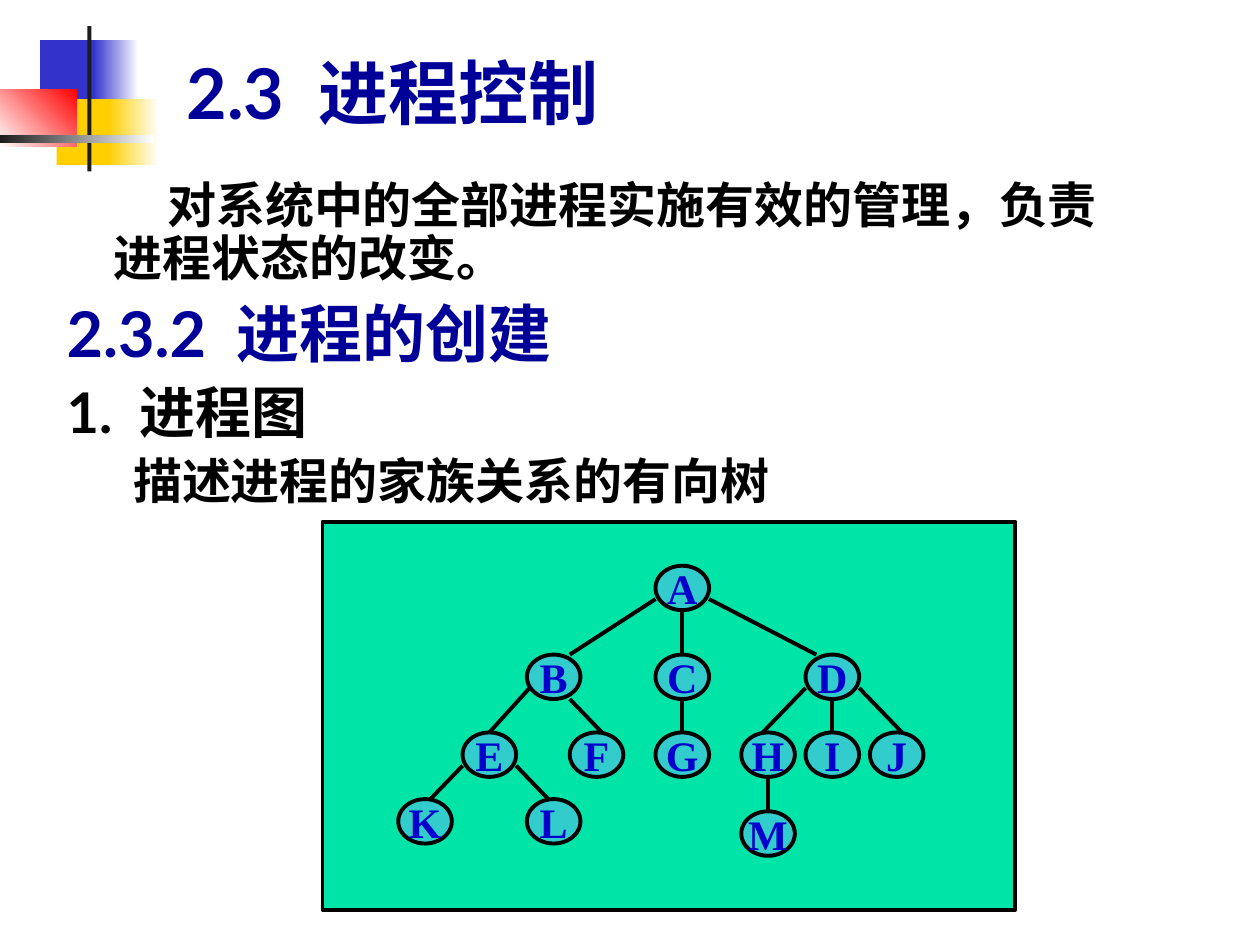
from dataclasses import dataclass

from pptx import Presentation
from pptx.dml.color import RGBColor
from pptx.enum import shapes, text
from pptx.oxml import xmlchemy as xml
from pptx.util import Pt


@dataclass(frozen=True)
class Theme:
    black: str = "000000"
    white: str = "FFFFFF"
    heading: str = "000099"
    blue: str = "3333CC"
    yellow: str = "FFCF01"
    red: str = "FF0000"
    dark: str = "1C1C1C"
    panel: str = "00E4A8"
    node: str = "33CCCC"
    letter: str = "0000CC"
    font: str = "Lato"
    node_font: str = "Times New Roman"
    title_size: float = 40
    section_size: float = 36
    topic_size: float = 32
    body_size: float = 28
    node_size: float = 24
    stroke: float = 2.25


THEME = Theme()


def color(value):
    return RGBColor.from_string(value)


def write(para, words, size=THEME.body_size, ink=THEME.black, font=THEME.font,
          align=text.PP_ALIGN.LEFT, margin=0, indent=0, before=0, spacing=None):
    """Put one bold span in a paragraph and format both."""
    props = para._p.get_or_add_pPr()
    props.set("marL", str(Pt(margin)))
    props.set("indent", str(Pt(indent)))
    para.alignment = align
    para.space_before = Pt(before)
    if spacing:
        para.line_spacing = spacing
    span = para.add_run()
    span.text = words
    span.font.size = Pt(size)
    span.font.name = font
    span.font.bold = True
    span.font.color.rgb = color(ink)


def add_block(page, kind, box, fill, fade_to=None, angle=0, outline=None):
    """Add a preset shape with a plain or fading fill."""
    shape = page.shapes.add_shape(kind, *map(Pt, box))
    shape.shadow.inherit = False
    if fade_to:
        shape.fill.gradient()
        shape.fill.gradient_angle = angle
        for stop, value in zip(shape.fill.gradient_stops, (fill, fade_to)):
            stop.color.rgb = color(value)
        for stop, place in zip(shape.fill.gradient_stops, (0, 1)):
            stop.position = place
    else:
        shape.fill.solid()
        shape.fill.fore_color.rgb = color(fill)
    if outline:
        shape.line.color.rgb = color(outline)
        shape.line.width = Pt(THEME.stroke)
    else:
        shape.line.fill.background()
    return shape


def add_line(page, start, end):
    line = page.shapes.add_connector(
        shapes.MSO_CONNECTOR.STRAIGHT, *map(Pt, (*start, *end)))
    line.line.color.rgb = color(THEME.black)
    line.line.width = Pt(THEME.stroke)
    effects = xml.OxmlElement("a:effectLst")
    line._element.spPr.append(effects)


def add_ornament(page, box):
    """Overlapping colour blocks crossed by two bars."""
    left, top, _, _ = box
    blocks = [
        ((23, 8, 34.5, 37.5), THEME.blue, None, 0),
        ((53.3, 8, 26, 37.5), THEME.blue, THEME.white, 0),
        ((32.4, 41.7, 33, 37.5), THEME.yellow, None, 0),
        ((62, 41.7, 28.8, 37.5), THEME.yellow, THEME.white, 0),
        ((0, 36, 44, 33), THEME.white, THEME.red, 45),
        ((49.9, 0, 2.4, 83), THEME.dark, None, 0),
        ((0, 62.2, 88, 4.3), THEME.dark, THEME.white, 0),
    ]
    for (x, y, width, height), fill, fade_to, angle in blocks:
        add_block(page, shapes.MSO_SHAPE.RECTANGLE,
                  (left + x, top + y, width, height), fill, fade_to, angle)


def add_title(page, box):
    title = page.shapes.title
    title.left, title.top, title.width, title.height = map(Pt, box)
    frame = title.text_frame
    frame.auto_size = text.MSO_AUTO_SIZE.NONE
    frame.vertical_anchor = text.MSO_ANCHOR.BOTTOM
    write(frame.paragraphs[0], "2.3  进程控制",
          size=THEME.title_size, ink=THEME.heading)


def add_body(page, box):
    frame = page.shapes.add_textbox(*map(Pt, box)).text_frame
    frame.word_wrap = True
    hang = {"margin": 27, "indent": -27}
    lines = [
        ("对系统中的全部进程实施有效的管理，负责进程状态的改变。",
         {"margin": 27, "indent": 30.5}),
        ("2.3.2  进程的创建", {"size": THEME.section_size,
                             "ink": THEME.heading, "before": 9, **hang}),
        ("1.  进程图", {"size": THEME.topic_size, "before": 8, **hang}),
        ("描述进程的家族关系的有向树", {"margin": 38, "before": 7}),
    ]
    for index, (words, style) in enumerate(lines):
        para = frame.add_paragraph() if index else frame.paragraphs[0]
        write(para, words, spacing=0.9, **style)


def add_process_tree(page, box):
    """Green panel with the family tree of processes."""
    left, top, _, _ = box
    node_width, node_height = 30.6, 25.4
    column, row = 12.25, 6.35
    add_block(page, shapes.MSO_SHAPE.RECTANGLE, box, THEME.panel,
              outline=THEME.black)

    # Nodes: column and row steps on a fine grid
    grid = {
        "A": (12, 0), "B": (6, 8), "C": (12, 8), "D": (19, 8),
        "E": (3, 15), "F": (8, 15), "G": (12, 15), "H": (16, 15),
        "I": (19, 15), "J": (22, 15), "K": (0, 21), "L": (6, 21),
        "M": (16, 22.1),
    }
    corners = {name: (left + 43.3 + x * column, top + 25.2 + y * row)
               for name, (x, y) in grid.items()}
    for name, corner in corners.items():
        node = add_block(page, shapes.MSO_SHAPE.OVAL,
                         (*corner, node_width, node_height),
                         THEME.node, outline=THEME.black)
        frame = node.text_frame
        frame.word_wrap = False
        frame.vertical_anchor = text.MSO_ANCHOR.MIDDLE
        write(frame.paragraphs[0], name, size=THEME.node_size,
              ink=THEME.letter, font=THEME.node_font,
              align=text.PP_ALIGN.CENTER)

    # Edges: ports are fractions of the node's width and height
    def port(name, across, down):
        x, y = corners[name]
        return x + across * node_width, y + down * node_height

    low_left, low_right, bottom = (0, 0.75), (1, 0.75), (0.5, 1)
    edges = [
        ("AB", low_left, 0.8), ("AC", bottom, 0.5), ("AD", low_right, 0.2),
        ("BE", (0.05, 0.75), 0.5), ("BF", (0.8, 1), 0.6),
        ("CG", bottom, 0.5),
        ("DH", low_left, 0.4), ("DI", bottom, 0.5), ("DJ", low_right, 0.6),
        ("EK", low_left, 0.6), ("EL", low_right, 0.4), ("HM", bottom, 0.5),
    ]
    for (parent, child), leave, arrive in edges:
        add_line(page, port(parent, *leave), port(child, arrive, 0))


def main():
    deck = Presentation()
    deck.slide_width, deck.slide_height = Pt(720), Pt(540)
    page = deck.slides.add_slide(deck.slide_layouts[5])
    add_ornament(page, (0, 15, 91, 83))
    add_title(page, (99.4, 20, 282, 60))
    add_body(page, (31, 100, 612, 204.5))
    add_process_tree(page, (184.3, 298.1, 396, 221.8))
    deck.save("out.pptx")


if __name__ == "__main__":
    main()
